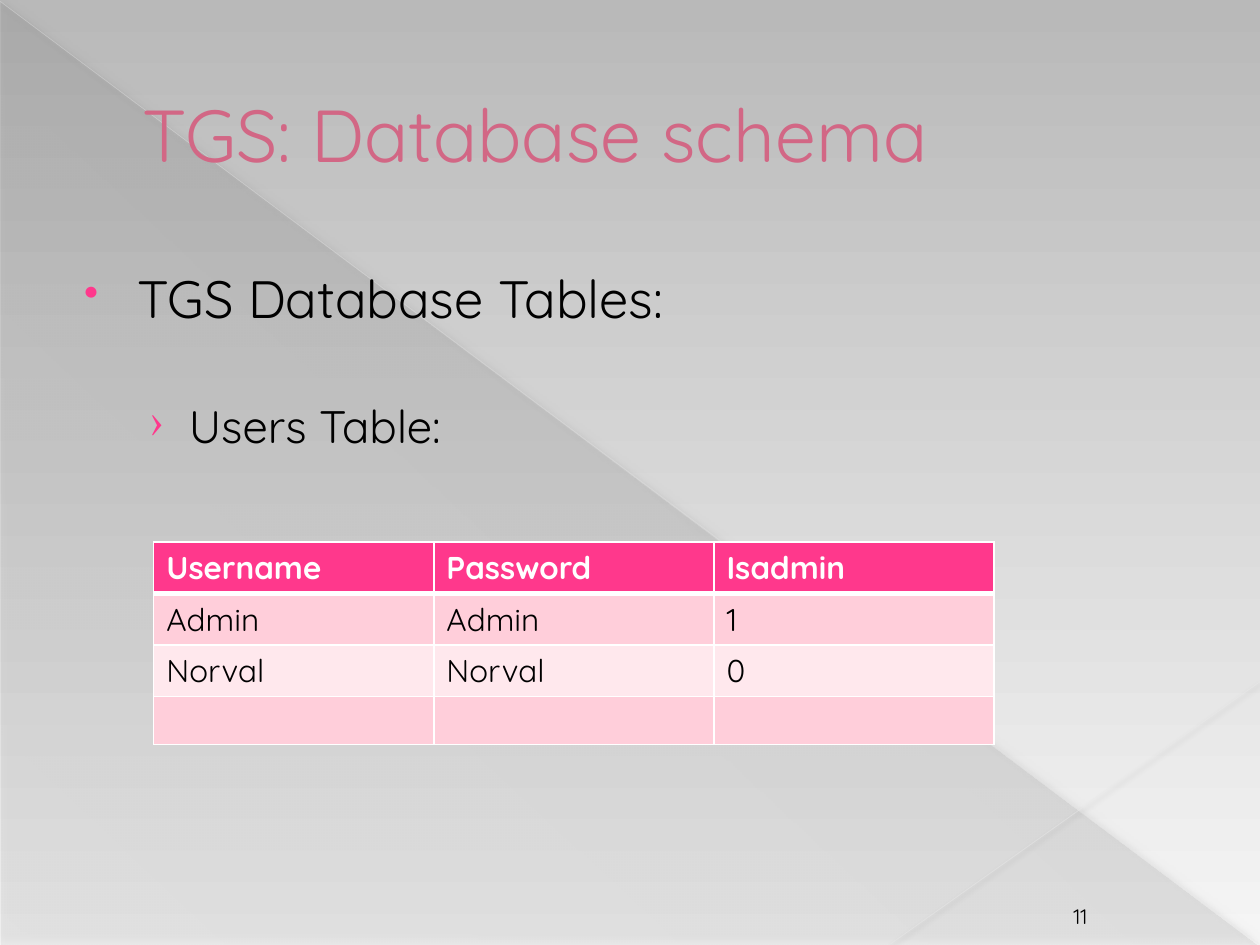
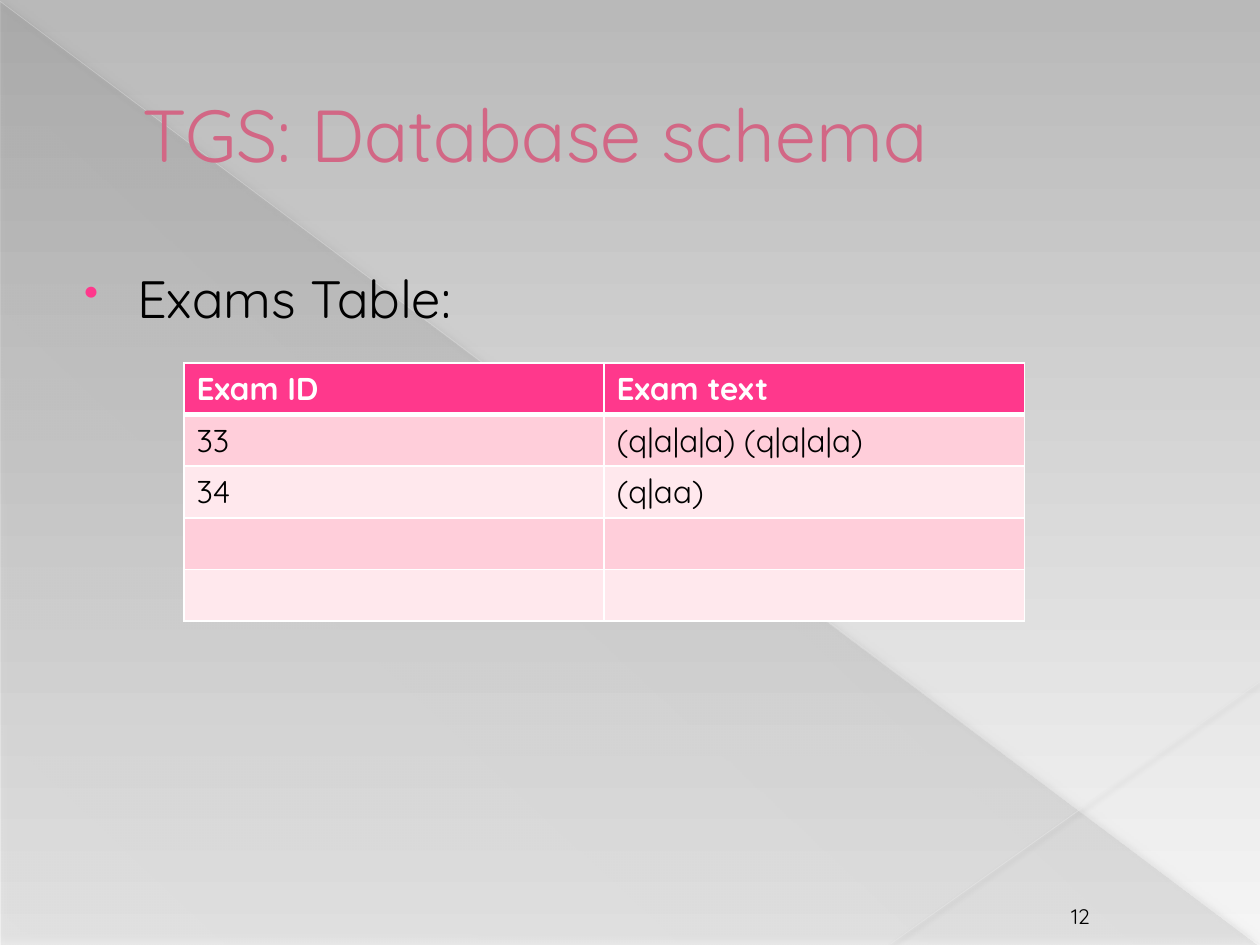
from lxml import etree
from pptx import Presentation
from pptx.dml.color import RGBColor
from pptx.enum.shapes import MSO_CONNECTOR, MSO_SHAPE
from pptx.enum.text import MSO_ANCHOR, PP_ALIGN
from pptx.oxml.ns import qn
from pptx.util import Inches, Pt

STRAIGHT = MSO_CONNECTOR.STRAIGHT
WEDGE = MSO_SHAPE.RIGHT_TRIANGLE
TOP, MIDDLE, BOTTOM = MSO_ANCHOR.TOP, MSO_ANCHOR.MIDDLE, MSO_ANCHOR.BOTTOM
LEFT, CENTER = PP_ALIGN.LEFT, PP_ALIGN.CENTER

FACE = "Quicksand"
BLACK, WHITE, GREY = "000000", "FFFFFF", "666666"
PINK, ROSE = "FF388C", "D26785"
BANDS = ("FFCEDA", "FFE8ED")
SKY = ("B9B9B9", "F5F5F5")
TABLE_WIDTH = 6.67

TITLE = {"size": Pt(42), "bold": False, "color": ROSE}
NUMBER = {"size": Pt(12), "bold": False, "color": BLACK}
HEAD = {"size": Pt(18), "bold": True, "color": WHITE}
CELL = {"size": Pt(18), "bold": False, "color": BLACK}
LEVELS = (
    {"size": 30, "left": 0.49, "hang": -0.42, "mark": "•", "scale": 80},
    {"size": 26, "left": 0.9, "hang": -0.31, "mark": "›", "scale": 95},
)
RAYS = (
    ((0, 0.01), (9.99, 7.49), "E8E8E8", 0.4, 35),
    ((10, 5.41), (7.07, 7.49), "EAEAEA", 0.48, 45),
)


def paint(hue):
    """Turn a hex string into a colour."""
    return RGBColor.from_string(hue)


def node(parent, tag, **attrs):
    """Append a drawing element with the given attributes."""
    child = etree.SubElement(parent, qn(f"a:{tag}"))
    for key, value in attrs.items():
        child.set(key, str(value))
    return child


def fade(parent, *rates):
    """Give each plain colour below the parent its opacity in percent."""
    for color, rate in zip(list(parent.iter(qn("a:srgbClr"))), rates):
        node(color, "alpha", val=rate * 1000)


def blend(fill, hues, angle):
    """Fill with a two-colour gradient at a clockwise angle."""
    fill.gradient()
    fill.gradient_angle = 360 - angle
    for stop, hue, place in zip(fill.gradient_stops, hues, (0, 1)):
        stop.color.rgb = paint(hue)
        stop.position = place


def shade(props, rate, blur, dist, angle):
    """Add an outer black shadow to shape properties."""
    effects = node(props, "effectLst")
    outer = node(effects, "outerShdw", blurRad=Pt(blur), dist=Pt(dist),
                 dir=angle * 60000, algn="ctr", rotWithShape=0)
    node(outer, "srgbClr", val=BLACK)
    fade(outer, rate)


def style(run, look):
    """Apply a dict of font values to a run."""
    run.font.name = FACE
    for key, value in look.items():
        if key == "color":
            run.font.color.rgb = paint(value)
        else:
            setattr(run.font, key, value)


def write(para, text, look):
    """Add one styled run to a paragraph."""
    run = para.add_run()
    run.text = text
    style(run, look)


def frame(slide, box, anchor):
    """Add a wrapping text box and return its text frame."""
    area = slide.shapes.add_textbox(*map(Inches, box)).text_frame
    area.word_wrap = True
    area.vertical_anchor = anchor
    return area


def label(slide, box, text, look, anchor, align=LEFT, left=0):
    """Place a single line of text."""
    para = frame(slide, box, anchor).paragraphs[0]
    para.alignment = align
    para._p.get_or_add_pPr().set("marL", str(Inches(left)))
    write(para, text, look)


def bullets(slide, box, items):
    """Place bulleted lines given as level, space before and text."""
    area = frame(slide, box, TOP)
    for index, (level, space, text) in enumerate(items):
        para = area.add_paragraph() if index else area.paragraphs[0]
        rule = LEVELS[level]
        para.level = level
        para.space_before = Pt(space)
        props = para._p.get_or_add_pPr()
        props.set("marL", str(Inches(rule["left"])))
        props.set("indent", str(Inches(rule["hang"])))
        node(node(props, "buClr"), "srgbClr", val=PINK)
        node(props, "buSzPct", val=rule["scale"] * 1000)
        node(props, "buChar", char=rule["mark"])
        write(para, text, {"size": Pt(rule["size"]), "color": BLACK})


def border(cell, base):
    """Draw white cell borders, with its own width at the base."""
    props = cell._tc.get_or_add_tcPr()
    sides = (("lnL", 0.96), ("lnR", 0.96), ("lnT", 0.96), ("lnB", base))
    for index, (side, width) in enumerate(sides):
        line = node(props, side, w=Pt(width))
        node(node(line, "solidFill"), "srgbClr", val=WHITE)
        props.insert(index, line)


def grid(slide, left, top, heights, rows):
    """Add a table with a pink head, banded rows and empty rows at the end."""
    count = len(rows[0])
    shape = slide.shapes.add_table(
        len(heights), count, Inches(left), Inches(top),
        Inches(TABLE_WIDTH), Inches(sum(heights)))
    table = shape.table
    table.horz_banding = False
    for column in table.columns:
        column.width = Inches(TABLE_WIDTH / count)
    for index, height in enumerate(heights):
        table.rows[index].height = Inches(height)
        for col in range(count):
            cell = table.cell(index, col)
            cell.margin_bottom = Inches(0.02)
            cell.fill.solid()
            hue = BANDS[(index - 1) % 2] if index else PINK
            cell.fill.fore_color.rgb = paint(hue)
            border(cell, 0.96 if index else 3)
            if index < len(rows):
                para = cell.text_frame.paragraphs[0]
                write(para, rows[index][col], CELL if index else HEAD)


def ray(slide, start, end, hue, width, rate):
    """Draw a faint line with a soft shadow."""
    line = slide.shapes.add_connector(
        STRAIGHT, *map(Inches, start + end))
    line.line.color.rgb = paint(hue)
    line.line.width = Pt(width)
    props = line.element.spPr
    fade(props, rate)
    shade(props, 38, 3.1, 1.6, 90)


def scene(deck, number):
    """Add a slide with the shared backdrop, title and number."""
    slide = deck.slides.add_slide(deck.slide_layouts[6])
    blend(slide.background.fill, SKY, 90)
    wedge = slide.shapes.add_shape(
        WEDGE, *map(Inches, (0.01, 0.02, 9.98, 7.48)))
    blend(wedge.fill, (GREY, GREY), 133)
    wedge.line.fill.background()
    props = wedge.element.spPr
    fade(props, 10, 8)
    shade(props, 50, 5, 2, 245)
    for item in RAYS:
        ray(slide, *item)
    label(slide, (0.5, 0.29, 9, 1.53), "TGS: Database schema", TITLE,
          MIDDLE, left=0.53)
    label(slide, (8.3, 7.09, 0.55, 0.33), str(number), NUMBER,
          BOTTOM, CENTER)
    return slide


def main():
    """Build both schema slides."""
    deck = Presentation()
    deck.slide_width, deck.slide_height = Inches(10), Inches(7.5)
    body = (0.5, 2.06, 9, 5)

    users = scene(deck, 11)
    bullets(users, body, [(0, 6, "TGS Database Tables:"),
                          (1, 39.6, "Users Table:")])
    grid(users, 1.22, 4.3, [0.41] * 3 + [0.38], [
        ("Username", "Password", "Isadmin"),
        ("Admin", "Admin", "1"),
        ("Norval", "Norval", "0"),
    ])

    exams = scene(deck, 12)
    bullets(exams, body, [(0, 6, "Exams Table:")])
    grid(exams, 1.46, 2.88, [0.41] * 5, [
        ("Exam ID", "Exam text"),
        ("33", "(q|a|a|a) (q|a|a|a)"),
        ("34", "(q|aa)"),
    ])
    deck.save("out.pptx")


if __name__ == "__main__":
    main()
